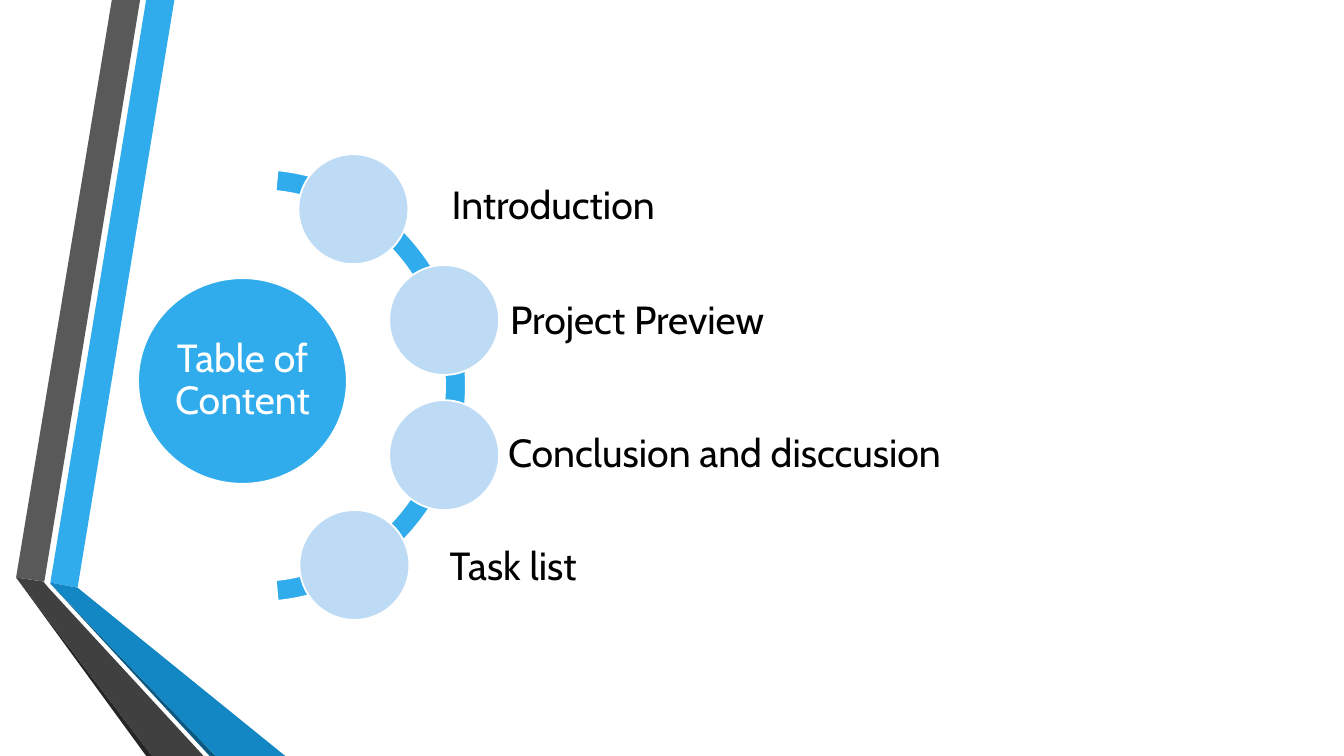
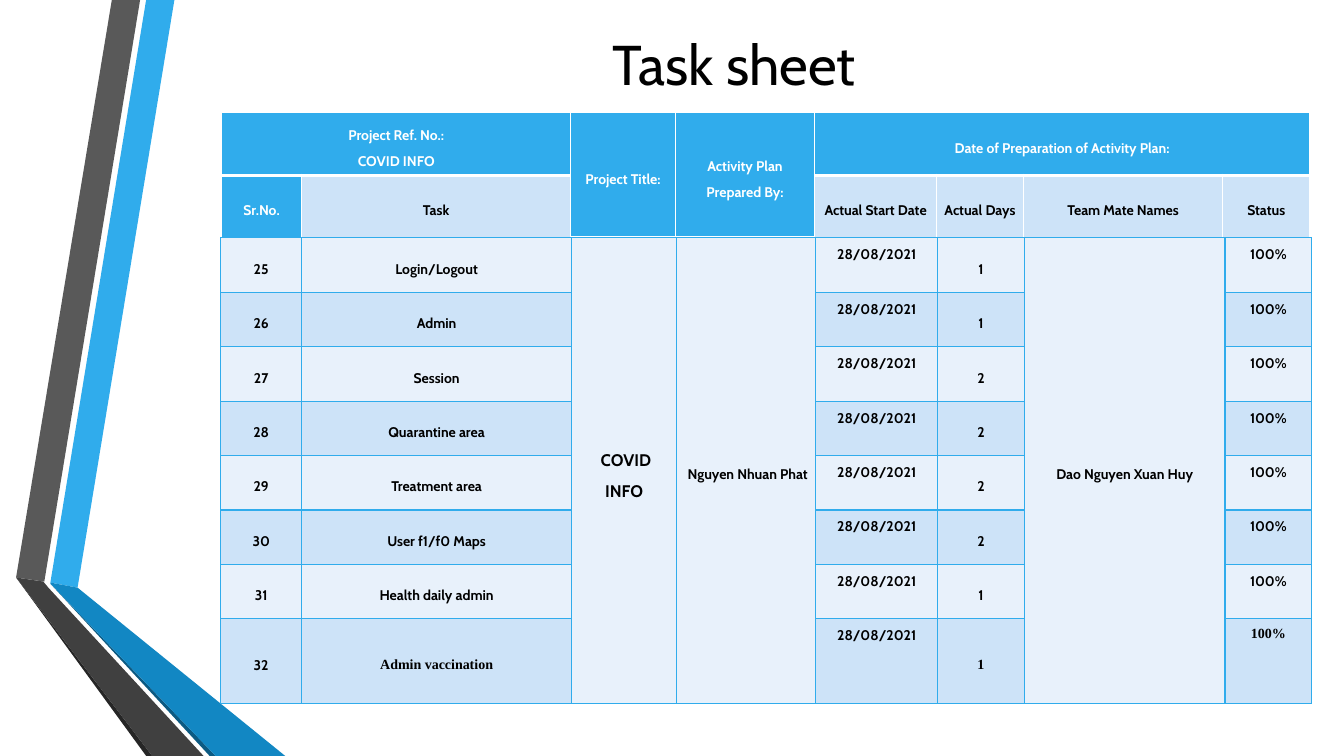
from dataclasses import dataclass

from lxml import etree
from pptx import Presentation
from pptx import util as u
from pptx.dml.color import RGBColor
from pptx.enum import shapes, text
from pptx.oxml.ns import qn

PX = 9144


@dataclass(frozen=True)
class Theme:
    font: str = "Cabin"
    serif: str = "Times New Roman"
    white: str = "FFFFFF"
    black: str = "000000"
    blue: str = "30ACEC"
    blue_side: str = "1287C3"
    blue_edge: str = "0C5A82"
    gray: str = "595959"
    gray_side: str = "404040"
    gray_edge: str = "262626"
    bubble: str = "BEDBF6"
    row_light: str = "E8F1FB"
    row_dark: str = "CDE3F8"
    title: int = 40
    agenda: int = 28
    project: int = 12
    cell: int = 10


THEME = Theme()

RIBBONS = [
    (THEME.blue, [(50, 578), (77, 583), (173, 0), (145, 0)]),
    (THEME.gray, [(139, 0), (111, 0), (16, 573), (44, 577)]),
    (THEME.gray_edge, [(16, 573), (145, 750), (151, 750)]),
    (THEME.blue_edge, [(50, 579), (208, 750), (214, 750)]),
    (THEME.blue_side, [(50, 579), (214, 750), (283, 750), (77, 583), (50, 578)]),
    (THEME.gray_side, [(202, 750), (48, 583), (43, 577), (16, 573), (151, 750)]),
]

AGENDA = [
    ("Introduction", (296, 153), (444, 152, 303, 106)),
    ("Project Preview", (386, 263), (502, 266, 307, 106)),
    ("Conclusion and disccusion", (386, 397), (500, 395, 564, 112)),
    ("Task list", (297, 506), (442, 525, 178, 76)),
]

PLAN_HEADER = [
    ["Project Ref. No.:\nCOVID INFO", "", "Project Title:", "Activity Plan Prepared By:",
     "Date of Preparation of Activity Plan:", "", "", ""],
    ["Sr.No.", "Task", "", "", "Actual Start Date", "Actual Days", "Team Mate Names", "Status"],
]
HEADER_MERGES = [(0, 0, 0, 1), (0, 2, 1, 2), (0, 3, 1, 3), (0, 4, 0, 7)]

FIRST_TASK = 25
TASKS = [
    ("Login/Logout", 1),
    ("Admin", 1),
    ("Session", 2),
    ("Quarantine area", 2),
    ("Treatment area", 2),
    ("User f1/f0 Maps", 2),
    ("Health daily admin", 1),
    ("Admin vaccination", 1),
]
SHARED_COLUMNS = {2: " COVID INFO", 3: " Nguyen Nhuan Phat", 6: "Dao Nguyen Xuan Huy"}
START_COLUMN, STATUS_COLUMN = 4, 7
SERIF_COLUMNS = (1, 5, 7)


def px(*lengths):
    return [u.Emu(length * PX) for length in lengths]


def paint(shape, fill, line=None):
    shape.shadow.inherit = False
    shape.fill.solid()
    shape.fill.fore_color.rgb = RGBColor.from_string(fill)
    if line:
        shape.line.color.rgb = RGBColor.from_string(line)
        shape.line.width = u.Pt(1.25)
    else:
        shape.line.fill.background()


def write(frame, words, size, color, align, spacing=1.0, bold=False, font=THEME.font):
    frame.text = words
    for paragraph in frame.paragraphs:
        paragraph.alignment = align
        paragraph.line_spacing = spacing
        for run in paragraph.runs:
            run.font.name = font
            run.font.size = u.Pt(size)
            run.font.bold = bold
            run.font.color.rgb = RGBColor.from_string(color)


def set_frame(frame, inset):
    frame.word_wrap = True
    frame.vertical_anchor = text.MSO_ANCHOR.MIDDLE
    frame.margin_left = frame.margin_right = frame.margin_top = frame.margin_bottom = u.Emu(inset * PX)


def add_ribbons_to_master(prs, slide):
    ribbons = slide.shapes.add_group_shape()
    for color, (start, *rest) in RIBBONS:
        outline = ribbons.shapes.build_freeform(*start, scale=PX)
        outline.add_line_segments(rest, close=True)
        paint(outline.convert_to_shape(), color)
    for number, props in enumerate(ribbons.element.iter(qn("p:cNvPr")), 100):
        props.set("id", str(number))
    prs.slide_master.shapes.element.insert(2, ribbons.element)


def add_round(slide, box, fill, kind=shapes.MSO_SHAPE.OVAL):
    shape = slide.shapes.add_shape(kind, *px(*box))
    paint(shape, fill, THEME.white)
    return shape


def add_label(slide, words, box):
    frame = slide.shapes.add_textbox(*px(*box)).text_frame
    set_frame(frame, 4)
    write(frame, words, THEME.agenda, THEME.black, text.PP_ALIGN.LEFT, 0.9)


def set_borders(cell, color, bottom=1):
    props = cell._tc.get_or_add_tcPr()
    for side, width in (("L", 1), ("R", 1), ("T", 1), ("B", bottom)):
        line = etree.SubElement(props, qn(f"a:ln{side}"), w=str(u.Pt(width)))
        fill = etree.SubElement(line, qn("a:solidFill"))
        etree.SubElement(fill, qn("a:srgbClr"), val=color)


def style_cell(cell, words, fill, border, color=THEME.black, bottom=1,
               size=THEME.cell, font=THEME.font, anchor=text.MSO_ANCHOR.MIDDLE):
    set_borders(cell, border, bottom)
    cell.fill.solid()
    cell.fill.fore_color.rgb = RGBColor.from_string(fill)
    cell.margin_left, cell.margin_right, cell.margin_top, cell.margin_bottom = px(7, 7, 0, 0)
    cell.vertical_anchor = anchor
    write(cell.text_frame, words, size, color, text.PP_ALIGN.CENTER, 1.5, True, font)


def add_grid(slide, left, top, widths, heights, merges):
    box = px(left, top, sum(widths), sum(heights))
    grid = slide.shapes.add_table(len(heights), len(widths), *box).table
    grid.first_row = grid.horz_banding = False
    for column, width in zip(grid.columns, widths):
        column.width = u.Emu(width * PX)
    for row, height in zip(grid.rows, heights):
        row.height = u.Emu(height * PX)
    for top_row, first, bottom_row, last in merges:
        grid.cell(top_row, first).merge(grid.cell(bottom_row, last))
    return grid


def visible_cells(grid):
    for r, row in enumerate(grid.rows):
        for c, cell in enumerate(row.cells):
            if not cell.is_spanned:
                yield r, c, cell


def add_plan_header(slide):
    grid = add_grid(slide, 220, 112, [79, 267, 104, 138, 121, 86, 198, 86], [62, 62], HEADER_MERGES)
    for r, c, cell in visible_cells(grid):
        strong = r == 0 or c == 0
        style_cell(cell, PLAN_HEADER[r][c],
                   THEME.blue if strong else THEME.row_dark, THEME.white,
                   THEME.white if strong else THEME.black, 3 if r == 0 else 1)


def add_plan_rows(slide):
    last = len(TASKS) - 1
    merges = [(0, c, last, c) for c in SHARED_COLUMNS]
    grid = add_grid(slide, 219, 236, [80, 268, 104, 138, 121, 86, 199, 86], [54] * last + [84], merges)
    for r, c, cell in visible_cells(grid):
        task, days = TASKS[r]
        values = {0: str(FIRST_TASK + r), 1: task, START_COLUMN: "28/08/2021",
                  5: str(days), STATUS_COLUMN: "100%", **SHARED_COLUMNS}
        at_top = c in (START_COLUMN, STATUS_COLUMN)
        style_cell(cell, values[c], THEME.row_dark if r % 2 else THEME.row_light, THEME.blue,
                   size=THEME.project if c == 2 else THEME.cell,
                   font=THEME.serif if r == last and c in SERIF_COLUMNS else THEME.font,
                   anchor=text.MSO_ANCHOR.TOP if at_top else text.MSO_ANCHOR.MIDDLE)


def build_agenda(slide):
    hub = add_round(slide, (137, 276, 207, 204), THEME.blue)
    set_frame(hub.text_frame, 4)
    write(hub.text_frame, "Table of Content", THEME.agenda, THEME.white, text.PP_ALIGN.CENTER, 0.9)
    arc = add_round(slide, (50, 168, 412, 429), THEME.blue, shapes.MSO_SHAPE.BLOCK_ARC)
    for index, value in enumerate((165.09, 50.88, 0.05)):
        arc.adjustments[index] = value
    for words, corner, label_box in AGENDA:
        add_round(slide, (*corner, 109, 109), THEME.bubble)
        add_label(slide, words, label_box)


def build_task_sheet(slide):
    title = slide.shapes.title
    title.left, title.top, title.width, title.height = px(180, 0, 1096, 125)
    title.text_frame.vertical_anchor = text.MSO_ANCHOR.MIDDLE
    write(title.text_frame, "Task sheet", THEME.title, THEME.black, text.PP_ALIGN.CENTER)
    add_plan_header(slide)
    add_plan_rows(slide)


def main():
    prs = Presentation()
    prs.slide_width, prs.slide_height = px(1333, 750)
    title_only, blank = prs.slide_layouts[5], prs.slide_layouts[6]
    agenda = prs.slides.add_slide(blank)
    add_ribbons_to_master(prs, agenda)
    build_agenda(agenda)
    build_task_sheet(prs.slides.add_slide(title_only))
    prs.save("out.pptx")


if __name__ == "__main__":
    main()
